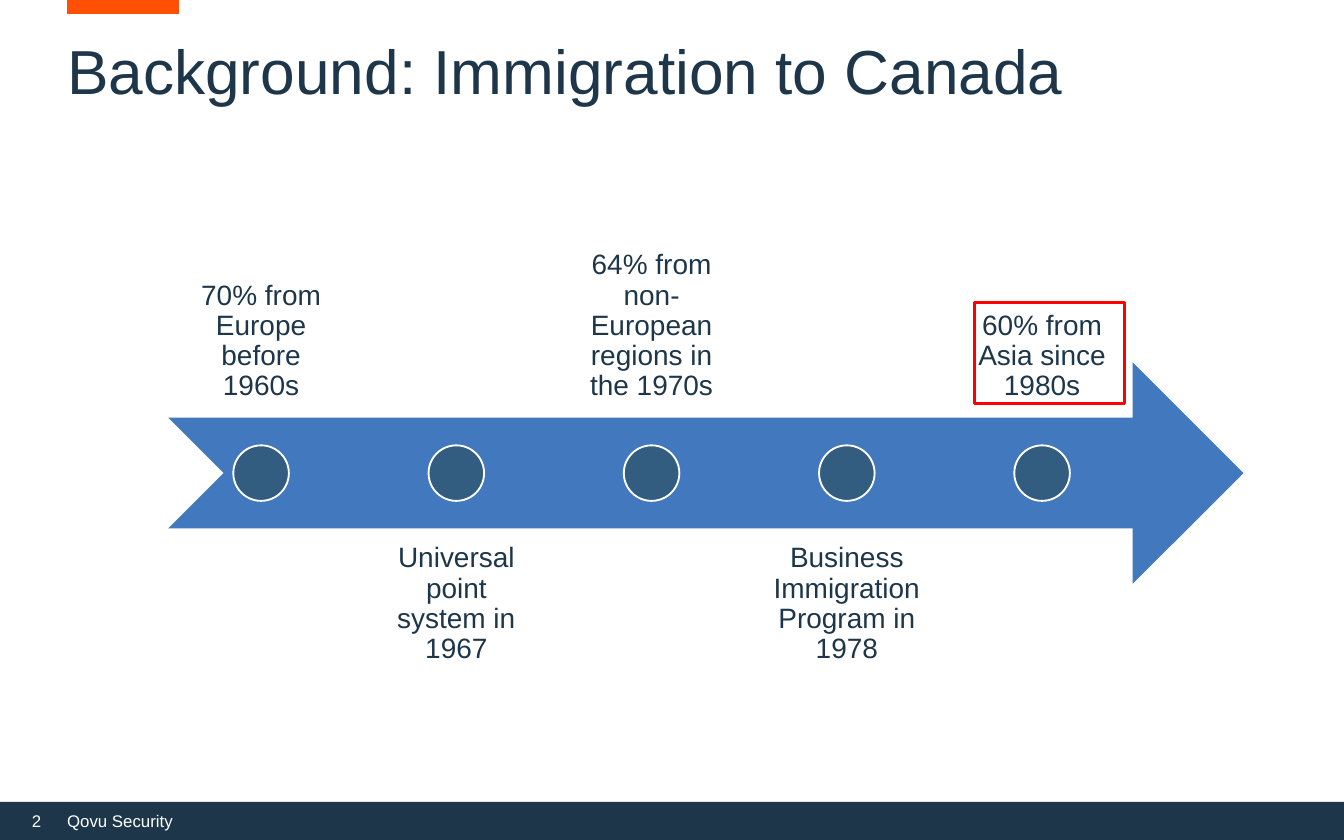
from dataclasses import dataclass

from lxml.etree import SubElement
from pptx import Presentation
from pptx.dml.color import RGBColor
from pptx.enum.shapes import MSO_CONNECTOR, MSO_SHAPE
from pptx.enum.text import MSO_ANCHOR, PP_ALIGN
from pptx.oxml.ns import qn
from pptx.util import Cm, Pt


@dataclass(frozen=True)
class Theme:
    font: str = "Arial"
    ink: str = "1D3649"
    paper: str = "FFFFFF"
    accent: str = "FF5004"
    arrow: str = "4178BE"
    dot: str = "325C80"
    highlight: str = "FF0000"
    title_size: float = 33.3
    label_size: float = 15
    footer_size: float = 9


class SlideBuilder:
    def __init__(self, page, theme):
        self.page = page
        self.theme = theme

    def shape(self, kind, left, top, width, height, fill=None, line=None, weight=1):
        shape = self.page.shapes.add_shape(kind, Cm(left), Cm(top), Cm(width), Cm(height))
        shape.shadow.inherit = False
        if fill:
            shape.fill.solid()
            shape.fill.fore_color.rgb = RGBColor.from_string(fill)
        else:
            shape.fill.background()
        if line:
            shape.line.color.rgb = RGBColor.from_string(line)
            shape.line.width = Pt(weight)
        else:
            shape.line.fill.background()
        return shape

    def line(self, left, top, right, bottom, color, weight):
        line = self.page.shapes.add_connector(
            MSO_CONNECTOR.STRAIGHT, Cm(left), Cm(top), Cm(right), Cm(bottom))
        line.line.color.rgb = RGBColor.from_string(color)
        line.line.width = Pt(weight)
        SubElement(line._element.spPr, qn("a:effectLst"))
        return line

    def text(self, content, left, top, width, height, size, color,
             inset=0, anchor=MSO_ANCHOR.TOP, **paragraph_format):
        box = self.page.shapes.add_textbox(Cm(left), Cm(top), Cm(width), Cm(height))
        frame = box.text_frame
        frame_format = {"word_wrap": True, "vertical_anchor": anchor}
        for side in ("left", "top", "right", "bottom"):
            frame_format[f"margin_{side}"] = Cm(inset)
        para = frame.paragraphs[0]
        span = para.add_run()
        span.text = content
        span_format = {"name": self.theme.font, "size": Pt(size)}
        for target, values in (
            (frame, frame_format), (para, paragraph_format), (span.font, span_format),
        ):
            for name, value in values.items():
                setattr(target, name, value)
        span.font.color.rgb = RGBColor.from_string(color)
        return para

    def tabs(self, para, stops):
        tab_list = SubElement(para._p.get_or_add_pPr(), qn("a:tabLst"))
        for position, alignment in stops:
            SubElement(tab_list, qn("a:tab"), pos=str(int(Cm(position))), algn=alignment)


theme = Theme()
deck = Presentation()
deck.slide_width, deck.slide_height = Cm(25.4), Cm(15.88)
page = deck.slides.add_slide(deck.slide_layouts[6])
builder = SlideBuilder(page, theme)

builder.line(1.27, 0.13, 3.38, 0.13, theme.accent, 8)
builder.shape(MSO_SHAPE.RECTANGLE, 0, 15.16, 25.4, 0.72, fill=theme.ink)
footer = builder.text("\t2\tQovu Security", 0.3, 15.21, 4.85, 0.51,
                      theme.footer_size, theme.paper, anchor=MSO_ANCHOR.BOTTOM,
                      line_spacing=0.9, space_before=Pt(6))
builder.tabs(footer, [(0.48, "r"), (0.97, "l")])
builder.text("Background: Immigration to Canada", 1.27, 1.22, 22.86, 0.97,
             theme.title_size, theme.ink, line_spacing=Pt(23))

arrow_left, arrow_top, arrow_height = 3.18, 6.85, 4.19
builder.shape(MSO_SHAPE.NOTCHED_RIGHT_ARROW, arrow_left, arrow_top, 20.32, arrow_height,
              fill=theme.arrow)

milestones = [
    "70% from Europe before 1960s",
    "Universal point system in 1967",
    "64% from non-European regions in the 1970s",
    "Business Immigration Program in 1978",
    "60% from Asia since 1980s",
]
step, label_width, dot_size = 3.69, 3.51, 1.05
dot_top = arrow_top + (arrow_height - dot_size) / 2
placements = [(3.71, MSO_ANCHOR.BOTTOM), (9.98, MSO_ANCHOR.TOP)]
for index, milestone in enumerate(milestones):
    left = arrow_left + index * step
    label_top, anchor = placements[index % 2]
    builder.text(milestone, left, label_top, label_width, arrow_height,
                 theme.label_size, theme.ink, inset=0.3, anchor=anchor,
                 alignment=PP_ALIGN.CENTER, line_spacing=0.9)
    builder.shape(MSO_SHAPE.OVAL, left + (label_width - dot_size) / 2, dot_top,
                  dot_size, dot_size, fill=theme.dot, line=theme.paper)

builder.shape(MSO_SHAPE.RECTANGLE, 18.42, 5.72, 2.84, 1.91,
              line=theme.highlight, weight=1.5)

deck.save("out.pptx")
